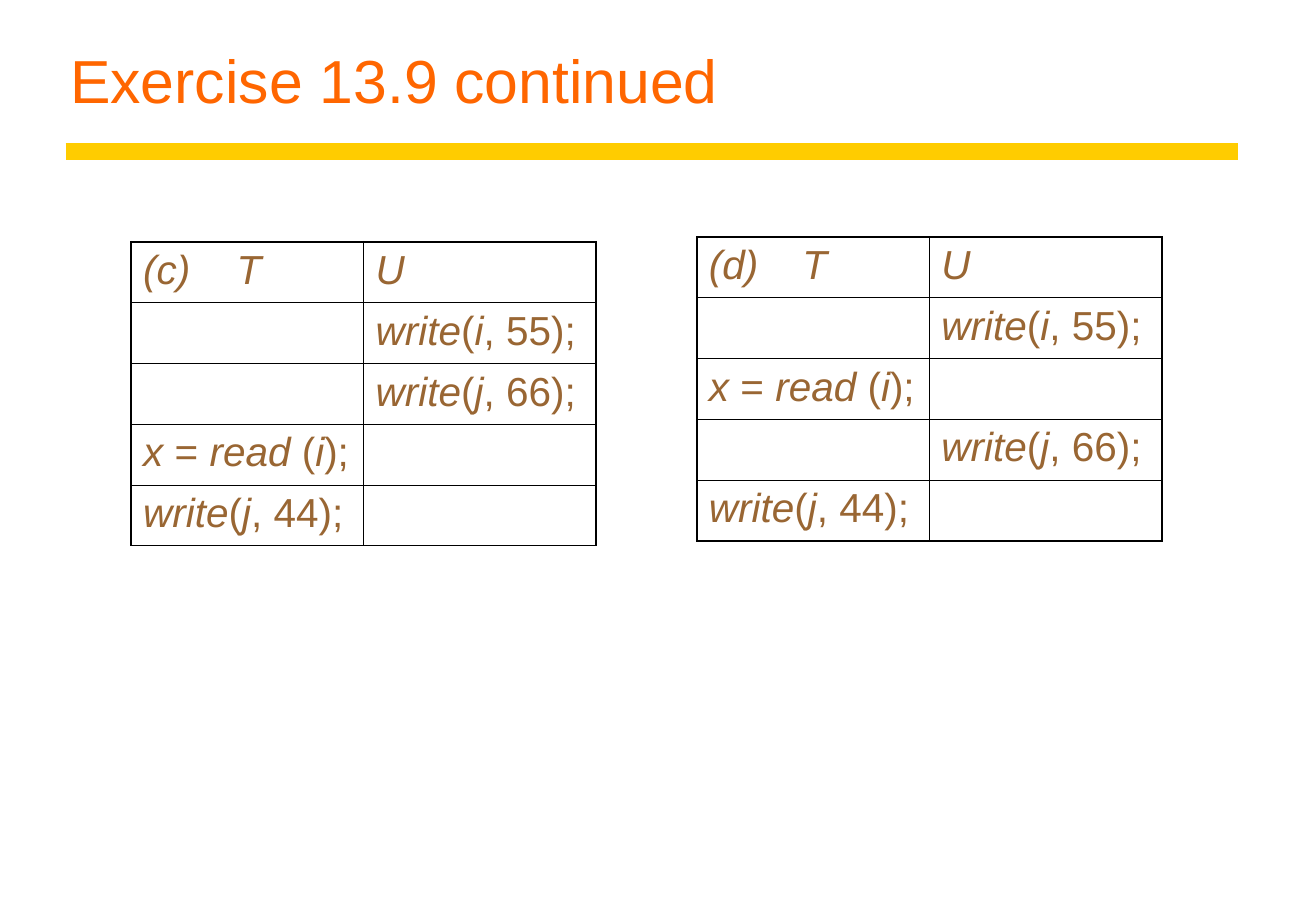
from lxml import etree
from pptx import Presentation
from pptx.dml.color import RGBColor
from pptx.enum.shapes import MSO_CONNECTOR
from pptx.enum.text import MSO_ANCHOR
from pptx.oxml.ns import qn
from pptx.util import Inches, Pt

STRAIGHT = MSO_CONNECTOR.STRAIGHT
BOTTOM = MSO_ANCHOR.BOTTOM
FONT = "Arial"
ORANGE, YELLOW, BROWN, BLACK = "FF6600", "FFCC00", "996633", "000000"
OUTER_BORDER, INNER_BORDER = 1.08, 0.45
COLUMN_WIDTH, ROW_HEIGHT = 1.915, 0.5
HEADING_TAB = 0.77

WRITE_I = ("", "*write*(*i*, 55);")
WRITE_J = ("", "*write*(*j*, 66);")
READ_I = ("*x* = *read* (*i*);", "")
OVERWRITE_J = ("*write*(*j*, 44);", "")
SCHEDULE_C = [("*(c)\tT*", "*U*"), WRITE_I, WRITE_J, READ_I, OVERWRITE_J]
SCHEDULE_D = [("*(d)\tT*", "*U*"), WRITE_I, READ_I, WRITE_J, OVERWRITE_J]


def color(hex_string):
    """Return the colour for a hex string."""
    return RGBColor.from_string(hex_string)


def style_run(run, size, hex_string, italic=False):
    """Set the font of one run."""
    run.font.name = FONT
    run.font.size = Pt(size)
    run.font.italic = italic
    run.font.color.rgb = color(hex_string)


def add_title(slide, left, top, width, height, text):
    """Add the title with the yellow rule below it."""
    box = slide.shapes.add_textbox(Inches(left), Inches(top), Inches(width), Inches(height))
    text_frame = box.text_frame
    text_frame.word_wrap = True
    text_frame.vertical_anchor = BOTTOM
    text_frame.text = text
    style_run(text_frame.paragraphs[0].runs[0], 36, ORANGE)

    rule_left, rule_top = Inches(left + 0.06), Inches(top + height + 0.25)
    rule = slide.shapes.add_connector(
        STRAIGHT, rule_left, rule_top, Inches(left + width), rule_top)
    rule.line.color.rgb = color(YELLOW)
    rule.line.width = Pt(10)
    etree.SubElement(rule._element.spPr, qn("a:effectLst"))


def write_cell(cell, markup):
    """Fill a cell with text whose starred parts are italic."""
    paragraph = cell.text_frame.paragraphs[0]
    if "\t" in markup:
        tabs = etree.SubElement(paragraph._p.get_or_add_pPr(), qn("a:tabLst"))
        etree.SubElement(tabs, qn("a:tab"), pos=str(Inches(HEADING_TAB)), algn="l")
    for index, part in enumerate(markup.split("*")):
        if part:
            run = paragraph.add_run()
            run.text = part
            style_run(run, 24, BROWN, italic=index % 2 == 1)


def set_borders(cell, outer_sides):
    """Draw the four borders of a cell, heavier on the outer sides."""
    properties = cell._tc.get_or_add_tcPr()
    for index, side in enumerate("LRTB"):
        weight = OUTER_BORDER if side in outer_sides else INNER_BORDER
        line = etree.Element(qn(f"a:ln{side}"), w=str(Pt(weight)))
        fill = etree.SubElement(line, qn("a:solidFill"))
        etree.SubElement(fill, qn("a:srgbClr"), val=BLACK)
        properties.insert(index, line)


def add_schedule(slide, left, top, rows):
    """Add the table of one interleaving of transactions T and U."""
    row_count, column_count = len(rows), len(rows[0])
    table = slide.shapes.add_table(
        row_count, column_count, Inches(left), Inches(top),
        Inches(COLUMN_WIDTH * column_count), Inches(ROW_HEIGHT * row_count)).table
    table.first_row = False
    table.horz_banding = False
    for row_index, row in enumerate(rows):
        for column_index, markup in enumerate(row):
            cell = table.cell(row_index, column_index)
            cell.fill.background()
            write_cell(cell, markup)
            sides = "L" if column_index == 0 else "R"
            if row_index == 0:
                sides += "T"
            elif row_index == row_count - 1:
                sides += "B"
            set_borders(cell, sides)


def main():
    """Build and save the slide."""
    presentation = Presentation()
    presentation.slide_width = Inches(10.84)
    presentation.slide_height = Inches(7.5)
    slide = presentation.slides.add_slide(presentation.slide_layouts[6])
    add_title(slide, 0.48, 0.25, 9.72, 0.75, "Exercise 13.9 continued")
    add_schedule(slide, 1.08, 1.99, SCHEDULE_C)
    add_schedule(slide, 5.74, 1.95, SCHEDULE_D)
    presentation.save("out.pptx")


if __name__ == "__main__":
    main()
